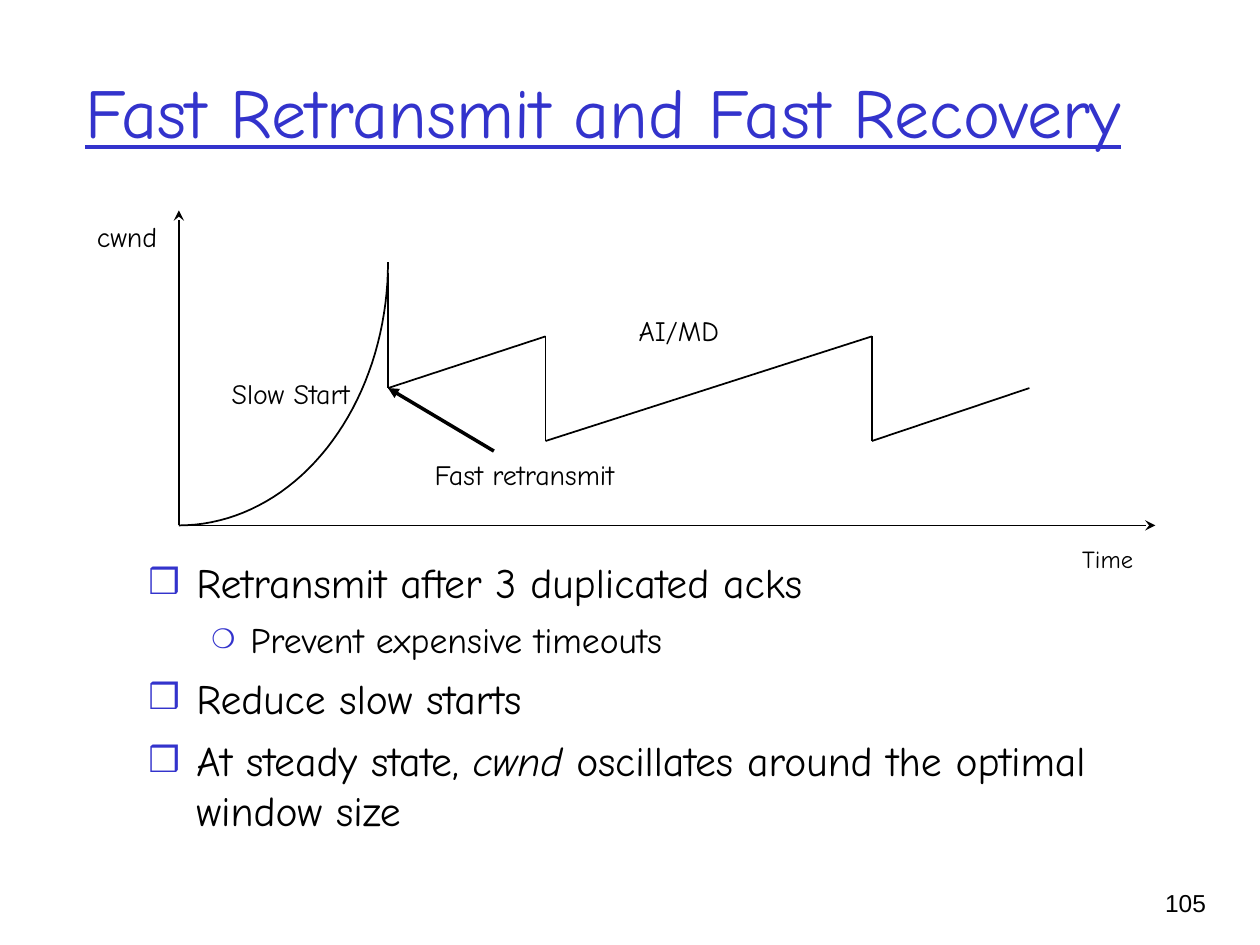
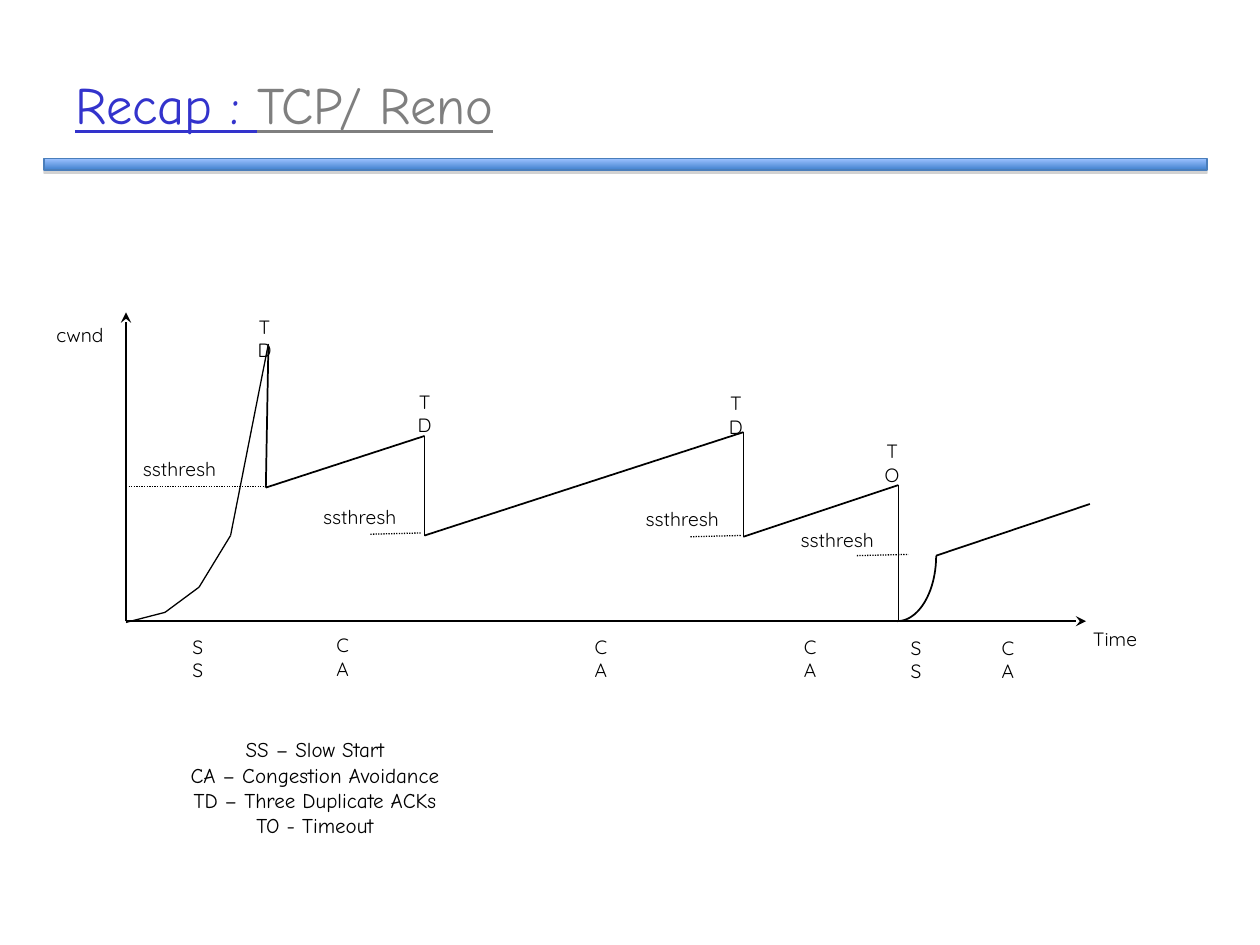
from itertools import pairwise
from math import cos, pi, sin

from lxml.etree import SubElement as Sub
from pptx import Presentation
from pptx.dml.color import RGBColor as Rgb
from pptx.enum.dml import MSO_LINE_DASH_STYLE as Dash
from pptx.enum.shapes import MSO_CONNECTOR as Link, MSO_SHAPE as Shape
from pptx.enum.text import MSO_ANCHOR as Anchor, MSO_AUTO_SIZE as Fit, PP_ALIGN as Align
from pptx.oxml.ns import qn
from pptx.util import Inches, Pt

HUES = {
    "ink": "000000", "title": "3333CC", "gray": "7F7F7F", "light": "9BC1FF",
    "deep": "3F80CD", "edge": "4A7EBB", "shade": "808080",
}
HAND, ROUND, PLAIN = "Comic Neue", "Quicksand", "Arial"
BULLETS = [
    {"sign": "❒", "scale": 85, "left": 0.38, "hang": 0.38, "size": 23.8, "gap": 7},
    {"sign": "❍", "scale": 75, "left": 0.81, "hang": 0.31, "size": 20.4, "gap": 6},
]


def hue(name):
    """Return the named colour."""
    return Rgb.from_string(HUES[name])


def shift(box, points):
    """Move points from the box's own space to the slide."""
    return [(box[0] + x, box[1] + y) for x, y in points]


def mark(para, level):
    """Give a paragraph the bullet and indent of its level."""
    look = BULLETS[level]
    props = para._p.get_or_add_pPr()
    props.set("marL", str(Inches(look["left"])))
    props.set("indent", str(-Inches(look["hang"])))
    color = Sub(props, qn("a:buClr"))
    Sub(color, qn("a:srgbClr"), val=HUES["title"])
    Sub(props, qn("a:buSzPct"), val=str(look["scale"] * 1000))
    Sub(props, qn("a:buFont"), typeface="Arial")
    Sub(props, qn("a:buChar"), char=look["sign"])


def write(slide, box, paras, size=16, font=HAND, color="ink", align=Align.LEFT,
          anchor=Anchor.TOP, wrap=True, under=False, levels=None, inset=0.1):
    """Add a text box; a paragraph is a string or a list of (text, changes)."""
    frame = slide.shapes.add_textbox(*map(Inches, box)).text_frame
    frame.word_wrap = wrap
    frame.auto_size = Fit.NONE if wrap else Fit.SHAPE_TO_FIT_TEXT
    frame.vertical_anchor = anchor
    frame.margin_left = frame.margin_right = Inches(inset)
    for i, parts in enumerate([paras] if isinstance(paras, str) else paras):
        para = frame.paragraphs[0] if i == 0 else frame.add_paragraph()
        para.alignment = align
        points = size
        if levels:
            mark(para, levels[i])
            points = BULLETS[levels[i]]["size"]
            if i:
                para.space_before = Pt(BULLETS[levels[i]]["gap"])
        for text, change in [(parts, {})] if isinstance(parts, str) else parts:
            run = para.add_run()
            run.text = text
            face = run.font
            face.size, face.name = Pt(points), font
            face.underline = under
            face.italic = change.get("italic", False)
            face.color.rgb = hue(change.get("color", color))


def line(slide, start, end, width=1, tip=None, dash=None):
    """Draw a straight line, with an arrowhead at its end if asked."""
    link = slide.shapes.add_connector(Link.STRAIGHT, *map(Inches, (*start, *end)))
    link.line.color.rgb = hue("ink")
    link.line.width = Pt(width)
    if dash:
        link.line.dash_style = dash
    if tip:
        Sub(link.line._get_or_add_ln(), qn("a:tailEnd"), type=tip)
    Sub(link._element.spPr, qn("a:effectLst"))


def chain(slide, box, points, width=1):
    """Join neighbouring points with lines."""
    for start, end in pairwise(shift(box, points)):
        line(slide, start, end, width)


def arc(slide, box, steps=40):
    """Draw the lower right quarter of an ellipse across the box."""
    left, top, wide, high = box
    turns = [pi / 2 * i / steps for i in range(steps + 1)]
    dots = [(Inches(left + wide * cos(t)), Inches(top + high * sin(t))) for t in turns]
    pen = slide.shapes.build_freeform(*dots[0])
    pen.add_line_segments(dots[1:], close=False)
    curve = pen.convert_to_shape()
    curve.shadow.inherit = False
    curve.fill.background()
    curve.line.color.rgb = hue("ink")
    curve.line.width = Pt(1)


def axes(slide, box):
    """Draw both axes from the lower left corner of the box."""
    left, top, wide, high = box
    base = (left, top + high)
    for end in ((left, top), (left + wide, top + high)):
        line(slide, base, end, tip="stealth")


def title(slide, box, text, size):
    """Write the underlined slide title."""
    write(slide, box, text, size=size, color="title", under=True, anchor=Anchor.MIDDLE)


def band(slide, box):
    """Draw the gradient band under the title."""
    bar = slide.shapes.add_shape(Shape.RECTANGLE, *map(Inches, box))
    bar.fill.gradient()
    bar.fill.gradient_angle = 270
    for stop, name, place in zip(bar.fill.gradient_stops, ("light", "deep"), (0, 1)):
        stop.color.rgb, stop.position = hue(name), place
    bar.line.color.rgb = hue("edge")
    bar.line.width = Pt(0.75)
    bar.shadow.inherit = False
    cast = Sub(bar._element.spPr.find(qn("a:effectLst")), qn("a:outerShdw"),
               blurRad="0", dist=str(Pt(1.8)), dir="5400000", rotWithShape="0")
    tone = Sub(cast, qn("a:srgbClr"), val=HUES["shade"])
    Sub(tone, qn("a:alpha"), val="35000")


def fast(slide, box):
    """Plot the window with slow start and fast retransmit."""
    axes(slide, box)
    left, top, _, high = box
    arc(slide, (left, top + 0.41, 1.66, high - 0.41))
    chain(slide, box, [(1.66, 0.5), (1.66, 1.41), (2.91, 1), (2.91, 1.83),
                       (5.5, 1), (5.5, 1.83), (6.75, 1.41)])
    line(slide, *shift(box, [(2.5, 1.91), (1.66, 1.41)]), width=2, tip="triangle")
    labels = [("cwnd", -0.75, 0.02, 0.68, 16), ("Slow Start", 0.32, 1.27, 1.15, 16),
              ("AI/MD", 3.55, 0.77, 0.84, 16), ("Fast retransmit", 1.93, 1.91, 1.65, 16),
              ("Time", 7.07, 2.6, 0.61, 14)]
    for text, x, y, wide, size in labels:
        write(slide, (left + x, top + y, wide, 0.37), text, size=size, wrap=False)


def reno(slide, box):
    """Plot the window through losses and a timeout."""
    axes(slide, box)
    left, top, _, high = box
    chain(slide, box, [(0, 2.46), (0.31, 2.38), (0.58, 2.18), (0.83, 1.77),
                       (1.13, 0.25)], width=0.75)
    chain(slide, box, [(1.13, 0.27), (1.11, 1.39), (2.37, 0.98), (2.37, 1.77),
                       (4.9, 0.95), (4.9, 1.78), (6.13, 1.37), (6.13, high)])
    arc(slide, (left + 6.12, top + 1.93, 0.31, high - 1.93))
    chain(slide, box, [(6.43, 1.93), (7.65, 1.52)])

    levels = [(0, 1.38, 1.12, 0.02, 1.1), (1.94, 1.76, 0.4, 1.45, 1.48),
              (4.48, 1.78, 0.4, 4.01, 1.5), (5.8, 1.93, 0.41, 5.24, 1.66)]
    words = [("cwnd", -0.66, 0.04, 0.59), ("Time", 7.57, high, 0.56)]
    for x, y, wide, near, over in levels:
        rise = 0.01 if x else 0
        line(slide, *shift(box, [(x, y), (x + wide, y - rise)]), width=0.75,
             dash=Dash.ROUND_DOT)
        words.append(("ssthresh", near, over, 0.81))
    for text, x, y, wide in words:
        write(slide, (left + x, top + y, wide, 0.28), text, size=11, font=ROUND,
              align=Align.CENTER, wrap=False)

    stacks = [("SS", 0.57, 2.51), ("CA", 1.72, 2.5), ("CA", 3.77, 2.51),
              ("CA", 5.43, 2.51), ("SS", 6.27, 2.52), ("CA", 7, 2.52),
              ("TD", 1.1, -0.03), ("TD", 2.37, 0.57), ("TD", 4.84, 0.58),
              ("TO", 6.08, 0.96)]
    for text, mid, y in stacks:
        write(slide, (left + mid - 0.2, top + y, 0.4, 0.28), text, size=11, font=ROUND,
              align=Align.CENTER, inset=0.13)


def main():
    """Build and save the two slides."""
    deck = Presentation()
    deck.slide_width, deck.slide_height = Inches(10), Inches(7.5)
    blank = deck.slide_layouts[6]

    first = deck.slides.add_slide(blank)
    write(first, (8.93, 7, 0.74, 0.5), "105", size=14, font=PLAIN, align=Align.RIGHT)
    title(first, (0.58, 0.25, 8.5, 1.25), "Fast Retransmit and Fast Recovery", 40)
    write(first, (1.08, 4.37, 7.83, 2.29), [
        "Retransmit after 3 duplicated acks",
        "Prevent expensive timeouts",
        "Reduce slow starts",
        [("At steady state, ", {}), ("cwnd", {"italic": True}),
         (" oscillates around the optimal window size", {})],
    ], levels=[0, 1, 0, 0])
    fast(first, (1.42, 1.67, 7.75, 2.5))

    recap = deck.slides.add_slide(blank)
    title(recap, (0.5, 0.2, 7.12, 1.25),
          [[("Recap : ", {}), ("TCP/ Reno", {"color": "gray"})]], 30)
    reno(recap, (1, 2.48, 7.62, 2.45))
    write(recap, (0.94, 5.8, 3.12, 0.9), [
        "SS – Slow Start", "CA – Congestion Avoidance",
        "TD – Three Duplicate ACKs", "TO - Timeout",
    ], size=12, align=Align.CENTER)
    band(recap, (0.35, 1.26, 9.23, 0.09))

    deck.save("out.pptx")


if __name__ == "__main__":
    main()
